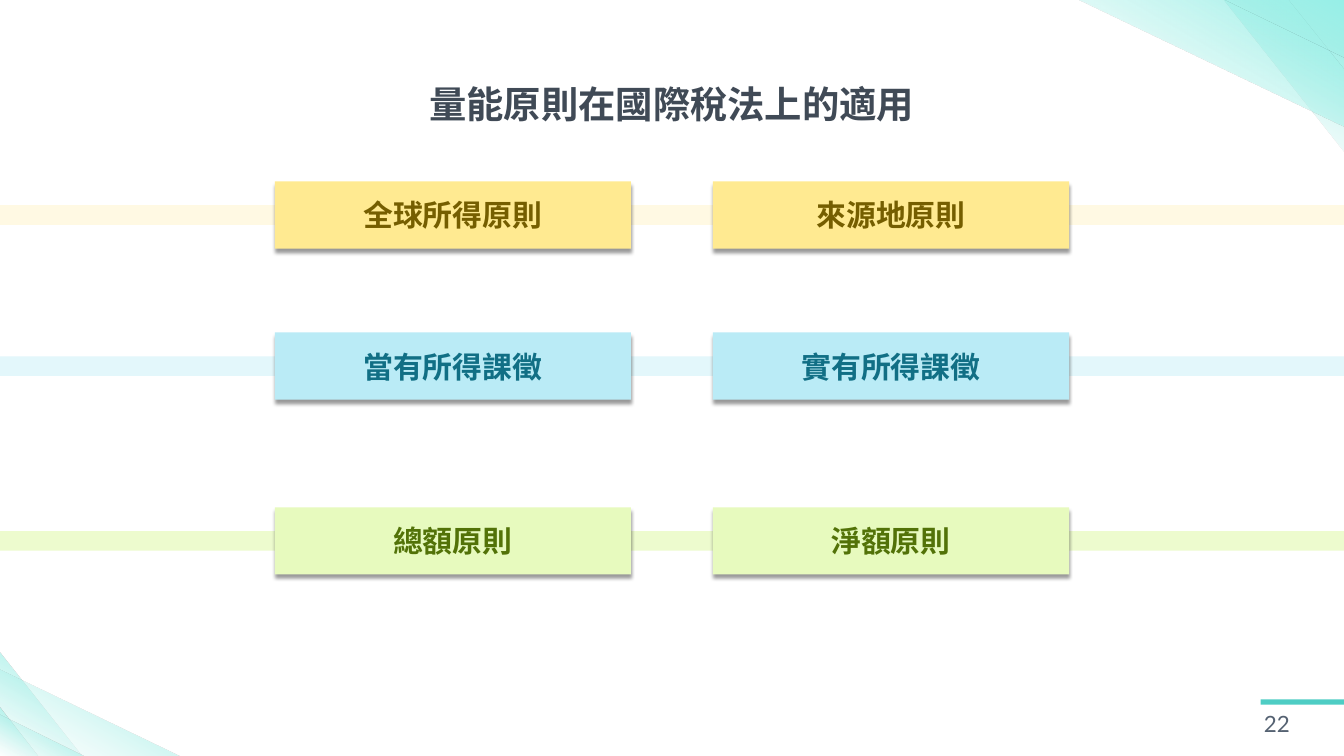
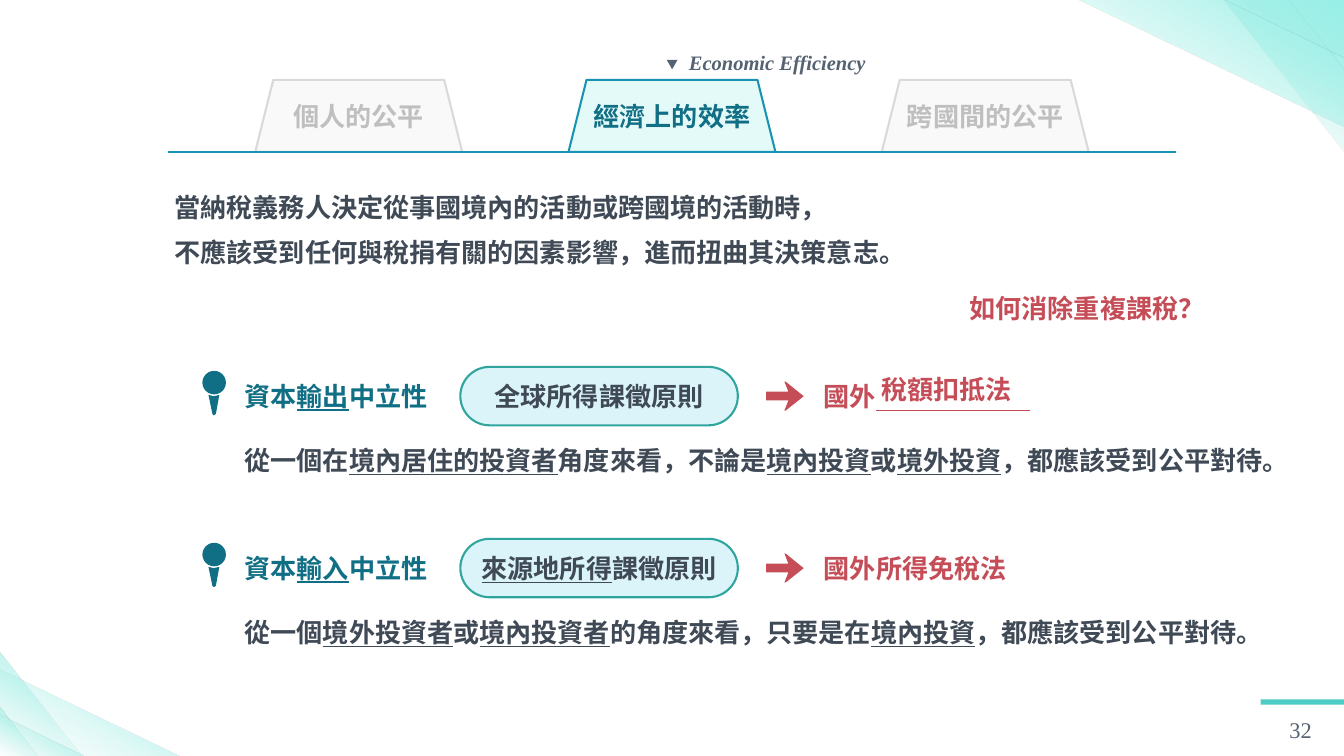
import dataclasses

import lxml.etree
import pptx
import pptx.dml.color
import pptx.enum.shapes
import pptx.enum.text
import pptx.oxml
import pptx.oxml.ns
import pptx.util

Cm = pptx.util.Cm
Pt = pptx.util.Pt
Kind = pptx.enum.shapes.MSO_SHAPE
Side = pptx.enum.text.PP_ALIGN
Hold = pptx.enum.text.MSO_ANCHOR
qn = pptx.oxml.ns.qn


@dataclasses.dataclass(frozen=True)
class Theme:
    wide: float = 50.8
    high: float = 28.58
    teal: str = "4ECDC4"
    ink: str = "404A56"
    gray: str = "556272"
    deep: str = "116F85"
    edge: str = "1694B2"
    red: str = "C54D57"
    pill: str = "DAF4FA"
    rim: str = "2FA59D"
    live: tuple = ("E4FAF8", "1694B2", "116F85")
    idle: tuple = ("F9F9F9", "D9D9D9", "BFBFBF")
    gold: tuple = ("FFF4C8", "FFEA91", "755E00")
    blue: tuple = ("E3F7FB", "BAEBF6", "116F85")
    green: tuple = ("EDFBCE", "E7FABE", "527208")
    fade: tuple = ((0, "97F0E8", 100), (50, "A6F0E8", 44), (100, "E0F9F6", 0))
    sans: str = "Lato"
    slim: str = "Roboto Condensed"
    serif: str = "Times New Roman"
    title: int = 40
    card: int = 32
    body: int = 28
    page: int = 24
    note: int = 22
    rule: float = 2.25


def tint(code):
    return pptx.dml.color.RGBColor.from_string(code)


def write(frame, text, *, size, color, font, bold=True, slant=False,
          side=Side.LEFT, hold=Hold.TOP, gap=0):
    frame.word_wrap = True
    frame.vertical_anchor = hold
    for row, line in enumerate(text.split("\n")):
        para = frame.add_paragraph() if row else frame.paragraphs[0]
        para.alignment = side
        if row:
            para.space_before = Pt(gap)
        for turn, part in enumerate(line.split("_")):
            if not part:
                continue
            run = para.add_run()
            run.text = part
            run.font.size = Pt(size)
            run.font.name = font
            run.font.bold = bold
            run.font.italic = slant
            run.font.underline = turn % 2 == 1
            run.font.color.rgb = tint(color)


class Deck:
    def __init__(self, theme):
        self.theme = theme
        self.show = pptx.Presentation()
        self.show.slide_width = Cm(theme.wide)
        self.show.slide_height = Cm(theme.high)
        self.slide = None

    def start(self):
        self.slide = self.show.slides.add_slide(self.show.slide_layouts[6])
        theme = self.theme
        self.shape(Kind.RECTANGLE, 47.65, 26.44, 3.15, 0.2, theme.teal)
        for wide, high in ((4.57, 5.77), (10.06, 4.78), (2.08, 2.62), (4.57, 2.18)):
            self.wedge(theme.wide - wide, 0, wide, high, 180)
        for wide, high in ((3.12, 3.94), (6.88, 3.28), (1.47, 1.87), (3.25, 1.55)):
            self.wedge(0, theme.high - high, wide, high)

    def text(self, left, top, wide, high, words, **form):
        form = {"size": self.theme.body, "color": self.theme.ink,
                "font": self.theme.sans, **form}
        box = self.slide.shapes.add_textbox(Cm(left), Cm(top), Cm(wide), Cm(high))
        write(box.text_frame, words, **form)

    def shape(self, kind, left, top, wide, high, fill=None, line=None, alpha=None, turn=0):
        item = self.slide.shapes.add_shape(kind, Cm(left), Cm(top), Cm(wide), Cm(high))
        item.rotation = turn
        self.paint(item, fill, line)
        if alpha:
            color = item._element.spPr.find(".//" + qn("a:srgbClr"))
            lxml.etree.SubElement(color, qn("a:alpha"), val=str(alpha * 1000))
        return item

    def paint(self, item, fill, line=None):
        item.shadow.inherit = False
        if fill:
            item.fill.solid()
            item.fill.fore_color.rgb = tint(fill)
        if line:
            item.line.color.rgb = tint(line)
            item.line.width = Pt(self.theme.rule)
        else:
            item.line.fill.background()

    def wedge(self, left, top, wide, high, turn=0):
        item = self.shape(Kind.RIGHT_TRIANGLE, left, top, wide, high, turn=turn)
        stops = "".join(
            f'<a:gs pos="{at * 1000}"><a:srgbClr val="{code}">'
            f'<a:alpha val="{alpha * 1000}"/></a:srgbClr></a:gs>'
            for at, code, alpha in self.theme.fade)
        item._element.spPr.insert(2, pptx.oxml.parse_xml(
            f'<a:gradFill {pptx.oxml.ns.nsdecls("a")} rotWithShape="0">'
            f'<a:gsLst>{stops}</a:gsLst><a:lin ang="7200000" scaled="0"/></a:gradFill>'))

    def card(self, left, top, words, fill, color):
        item = self.shape(Kind.RECTANGLE, left, top, 13.46, 2.54, fill)
        item._element.spPr.find(qn("a:effectLst")).append(pptx.oxml.parse_xml(
            f'<a:outerShdw {pptx.oxml.ns.nsdecls("a")} blurRad="50800" dist="50800" '
            'dir="5400000" algn="t" rotWithShape="0"><a:srgbClr val="000000">'
            '<a:alpha val="40000"/></a:srgbClr></a:outerShdw>'))
        write(item.text_frame, words, size=self.theme.card, color=color,
              font=self.theme.slim, side=Side.CENTER, hold=Hold.MIDDLE)

    def line(self, left, right, top, color, width):
        item = self.slide.shapes.add_connector(
            pptx.enum.shapes.MSO_CONNECTOR.STRAIGHT, Cm(left), Cm(top), Cm(right), Cm(top))
        item.line.color.rgb = tint(color)
        item.line.width = Pt(width)
        lxml.etree.SubElement(item._element.spPr, qn("a:effectLst"))

    def form(self, left, top, dots, fill):
        pen = self.slide.shapes.build_freeform(*dots[0], scale=Cm(0.01))
        pen.add_line_segments(dots[1:], close=True)
        self.paint(pen.convert_to_shape(Cm(left), Cm(top)), fill)

    def pin(self, left, top):
        self.shape(Kind.OVAL, left, top, 0.89, 0.89, self.theme.deep)
        self.form(left, top, ((23, 91), (43, 96), (64, 91), (51, 163), (43, 168), (38, 163)),
                  self.theme.deep)

    def arrow(self, left, top):
        self.form(left, top, ((0, 38), (84, 38), (69, 0), (74, 0), (142, 55),
                              (74, 109), (69, 109), (84, 71), (0, 71)), self.theme.red)

    def tab(self, left, words, style):
        fill, line, color = style
        self.shape(Kind.TRAPEZOID, left, 3.02, 7.82, 2.72, fill, line)
        self.text(left, 3.66, 7.82, 1.45, words, color=color, side=Side.CENTER)

    def claim(self, top, label, basis, cure, detail):
        theme = self.theme
        self.pin(7.65, top + 0.15)
        self.text(9, top + 0.37, 8, 1.45, label, color=theme.deep)
        pill = self.shape(Kind.ROUNDED_RECTANGLE, 17.4, top, 10.49, 2.21, theme.pill, theme.rim)
        pill.adjustments[0] = 0.5
        write(pill.text_frame, basis, size=theme.body, color=theme.ink, font=theme.sans,
              side=Side.CENTER, hold=Hold.MIDDLE)
        self.arrow(28.96, top + 0.56)
        self.text(30.89, top + 0.37, 8, 1.45, cure, color=theme.red)
        self.text(9, top + 2.81, 41.5, 1.45, detail)


def rules(deck):
    theme = deck.theme
    deck.start()
    rows = (
        (6.86, theme.gold, 50, ("全球所得原則", "來源地原則")),
        (12.57, theme.blue, None, ("當有所得課徵", "實有所得課徵")),
        (19.18, theme.green, None, ("總額原則", "淨額原則")),
    )
    for top, (band, fill, color), alpha, names in rows:
        deck.shape(Kind.RECTANGLE, 0, top + 0.9, theme.wide, 0.74, band, alpha=alpha)
        for step, name in enumerate(names):
            deck.card(10.39 + step * 16.56, top, name, fill, color)
    deck.text(15.88, 2.95, 19.02, 1.96, "量能原則在國際稅法上的適用",
              size=theme.title, font=theme.serif, side=Side.CENTER)
    deck.text(47.52, 26.67, 3.28, 1.35, "22", size=theme.page, color=theme.gray,
              bold=False, hold=Hold.MIDDLE)


def fairness(deck):
    theme = deck.theme
    deck.start()
    tabs = (("個人的公平", theme.idle), ("經濟上的效率", theme.live), ("跨國間的公平", theme.idle))
    for step, (name, style) in enumerate(tabs):
        deck.tab(9.65 + step * 11.84, name, style)
    deck.line(6.35, 44.45, 5.74, theme.edge, theme.rule)
    deck.shape(Kind.ISOSCELES_TRIANGLE, 25.2, 2.26, 0.41, 0.36, theme.gray, turn=180)
    deck.text(25.79, 1.78, 9, 1.19, "Economic Efficiency", size=theme.note,
              color=theme.gray, font=theme.serif, slant=True)
    deck.text(6.35, 7.11, 32, 3.18,
              "當納稅義務人決定從事國境內的活動或跨國境的活動時，\n"
              "不應該受到任何與稅捐有關的因素影響，進而扭曲其決策意志。", gap=14.4)
    deck.text(36.4, 10.92, 10.5, 1.45, "如何消除重複課稅？", color=theme.red)
    deck.claim(13.87, "資本_輸出_中立性", "全球所得課徵原則", "國外",
               "從一個在_境內居住的投資者_角度來看，不論是_境內投資_或_境外投資_，都應該受到公平對待。")
    deck.text(33.07, 14, 6.5, 1.45, "稅額扣抵法", color=theme.red)
    deck.line(33.12, 38.94, 15.5, theme.red, 1)
    deck.claim(20.37, "資本_輸入_中立性", "_來源地所得_課徵原則", "國外所得免稅法",
               "從一個_境外投資者_或_境內投資者_的角度來看，只要是在_境內投資_，都應該受到公平對待。")
    deck.text(47.52, 26.92, 3.28, 1.35, "32", size=theme.page, color=theme.gray,
              font=theme.serif, bold=False, side=Side.CENTER, hold=Hold.MIDDLE)


def main():
    deck = Deck(Theme())
    rules(deck)
    fairness(deck)
    deck.show.save("out.pptx")


if __name__ == "__main__":
    main()
